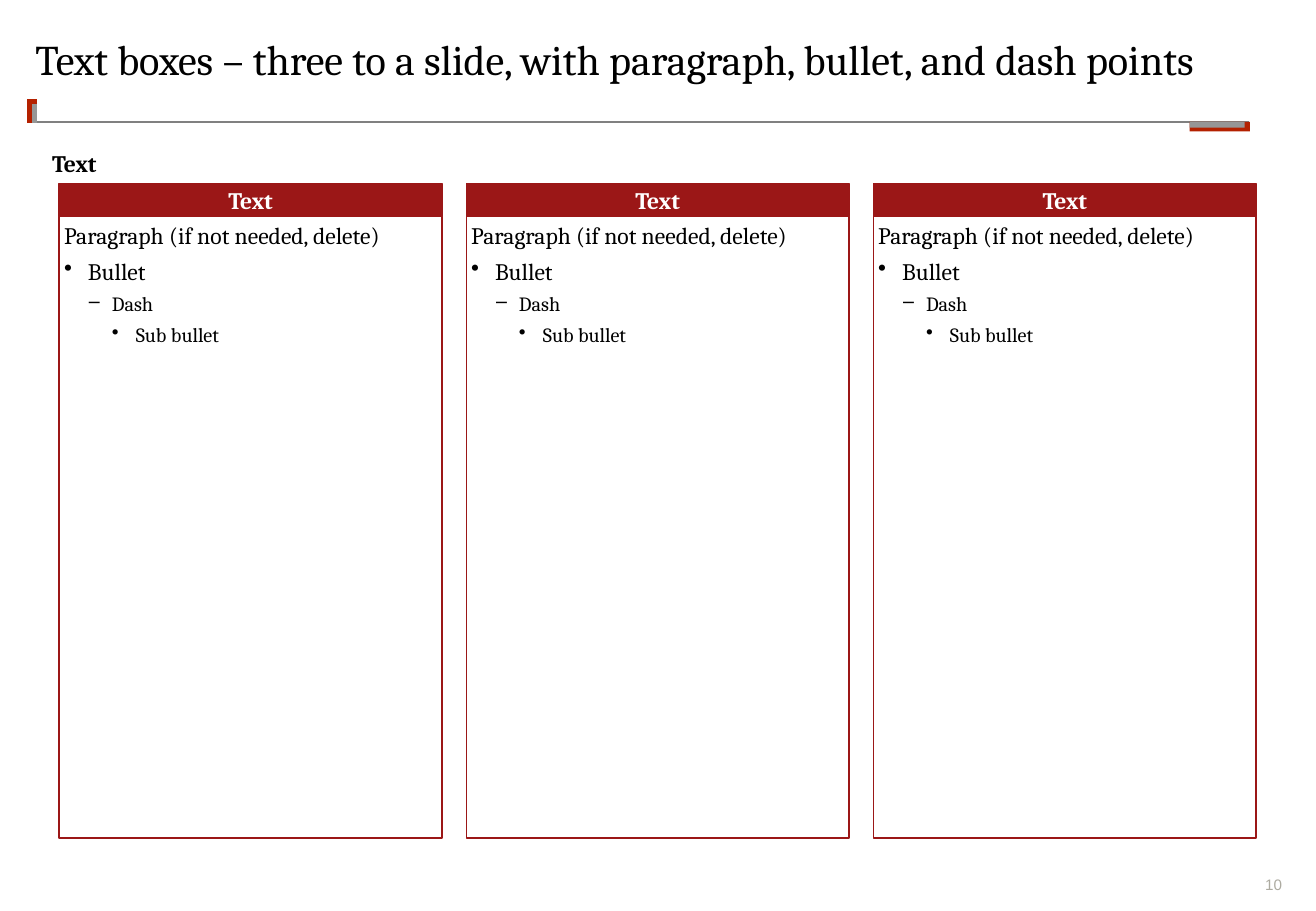
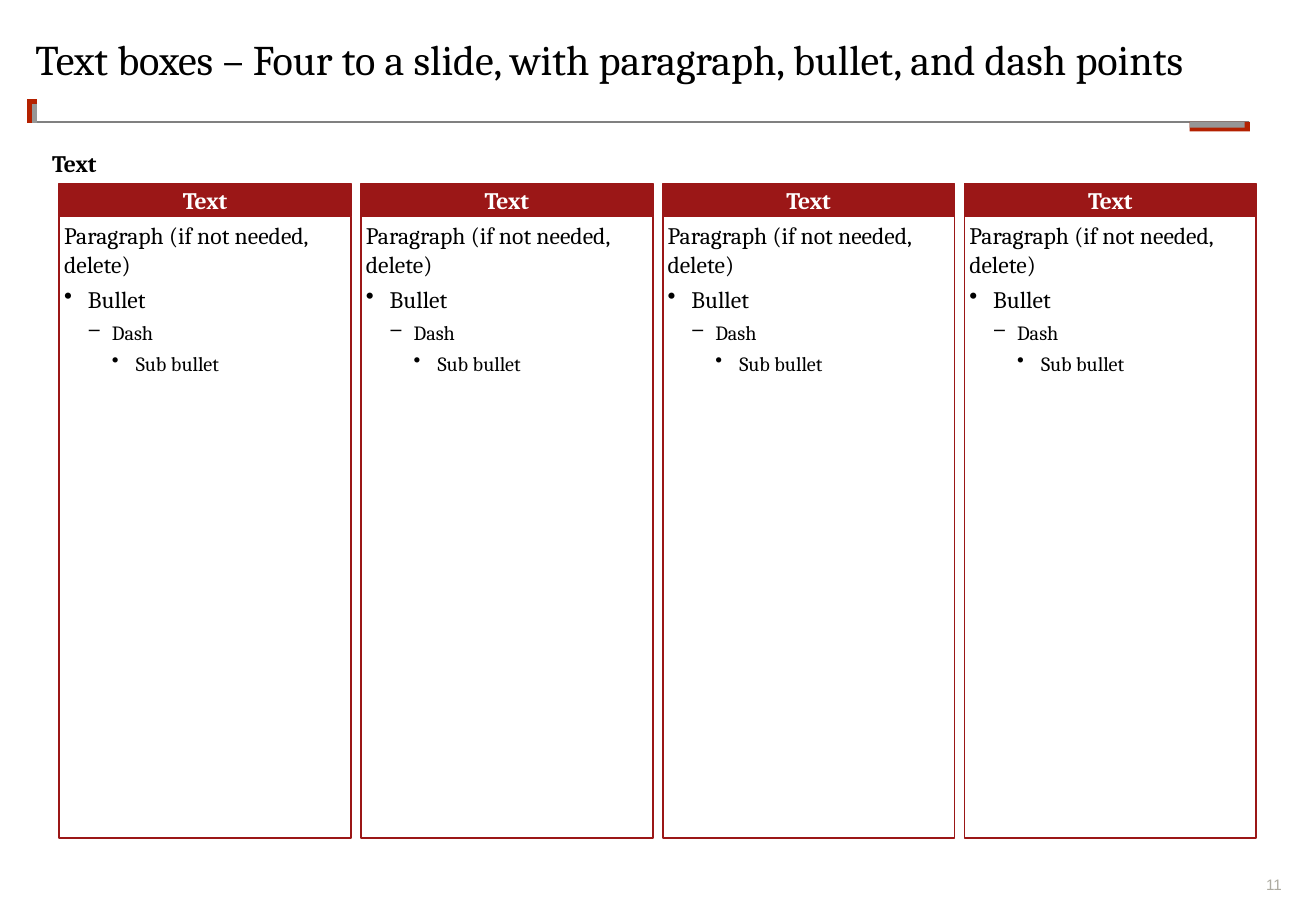
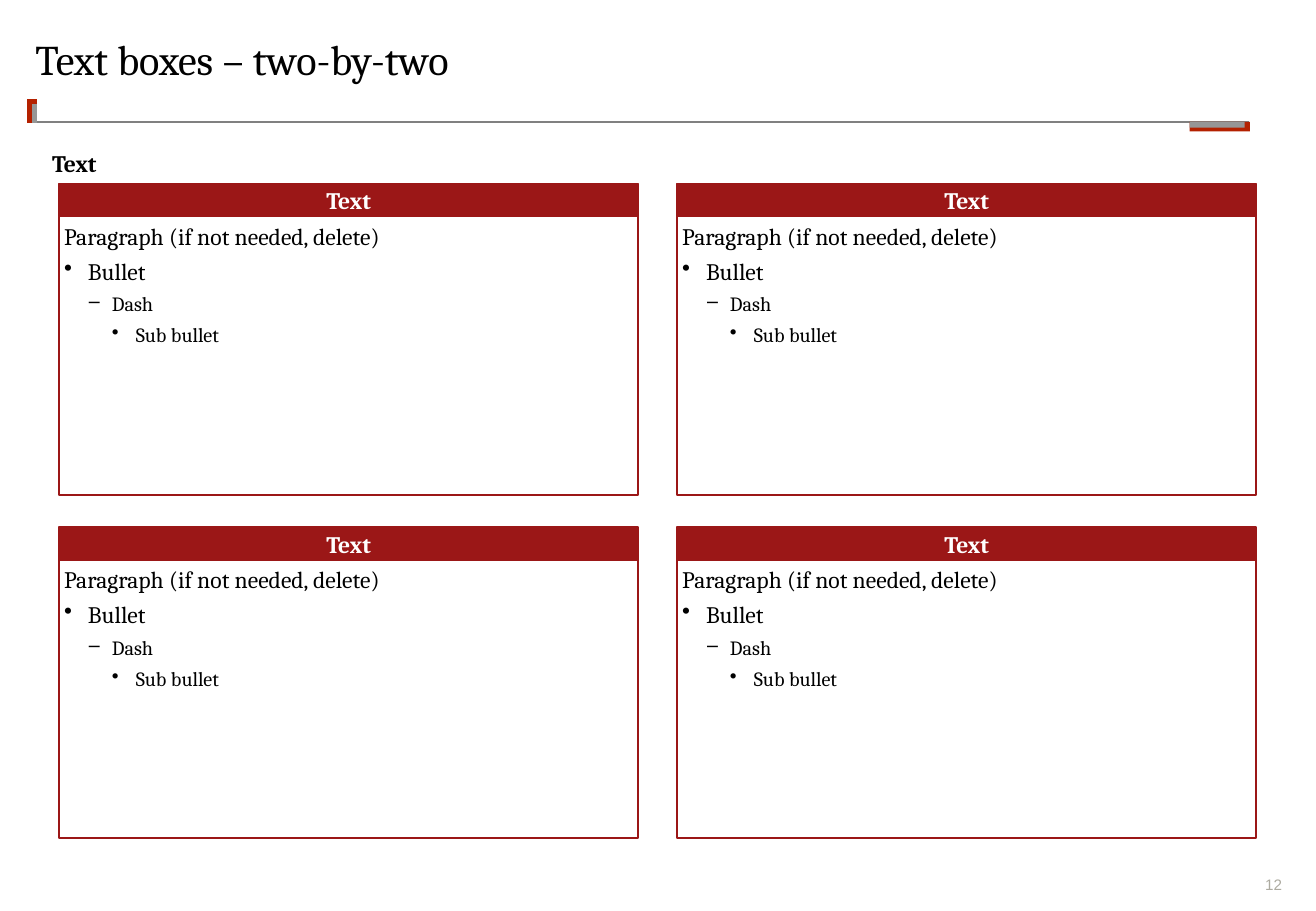
from lxml import etree
from pptx import Presentation
from pptx.dml.color import RGBColor
from pptx.enum import shapes, text
from pptx.oxml.ns import qn
from pptx.util import Cm, Pt

BLACK = RGBColor(0x00, 0x00, 0x00)
WHITE = RGBColor(0xFF, 0xFF, 0xFF)
CRIMSON = RGBColor(0x9B, 0x17, 0x17)
RUST = RGBColor(0xB4, 0x21, 0x00)
GREY = RGBColor(0x96, 0x96, 0x96)
RULE = RGBColor(0x80, 0x80, 0x80)
PALE = RGBColor(0xAD, 0xAB, 0xA1)

# Area shared by the panels, in centimetres
LEFT, TOP, RIGHT, BOTTOM = 1.24, 3.84, 26.26, 17.53
HEAD = 0.69
STEP = 0.5
PAD = 0.1

# Text, level, size, bullet
POINTS = [
    ("Paragraph (if not needed, delete)", 0, 14, None),
    ("Bullet", 1, 14, "•"),
    ("Dash", 2, 12, "‒"),
    ("Sub bullet", 3, 12, "•"),
]

# Title, columns, rows, column gap, row gap
SLIDES = [
    ("Text boxes – three to a slide, with paragraph, bullet, and dash points",
     3, 1, 0.51, 0),
    ("Text boxes – Four to a slide, with paragraph, bullet, and dash points",
     4, 1, 0.21, 0),
    ("Text boxes – two-by-two", 2, 2, 0.82, 0.68),
]
FIRST = 10


def write(para, words, size=14, color=BLACK, font="Cambria", bold=False,
          align=text.PP_ALIGN.LEFT, level=0, bullet=None, before=0):
    """Fill a paragraph with one formatted run."""
    if bullet:
        props = para._p.get_or_add_pPr()
        props.set("marL", str(Cm(STEP * level)))
        props.set("indent", str(-Cm(STEP)))
        etree.SubElement(props, qn("a:buChar")).set("char", bullet)
    para.level = level
    para.alignment = align
    para.space_before = Pt(before)
    run = para.add_run()
    run.text = words
    run.font.name = font
    run.font.size = Pt(size)
    run.font.bold = bold
    run.font.color.rgb = color


def inset(frame, pad=0, anchor=text.MSO_ANCHOR.TOP, wrap=True):
    """Set margins, anchor and wrapping; return the first paragraph."""
    frame.margin_left = frame.margin_right = Cm(pad)
    frame.margin_top = frame.margin_bottom = Cm(pad)
    frame.vertical_anchor = anchor
    frame.word_wrap = wrap
    frame.auto_size = text.MSO_AUTO_SIZE.NONE
    return frame.paragraphs[0]


def add_rect(slide, x, y, w, h, fill=None, line=None):
    rect = slide.shapes.add_shape(
        shapes.MSO_SHAPE.RECTANGLE, Cm(x), Cm(y), Cm(w), Cm(h))
    rect.shadow.inherit = False
    if fill is None:
        rect.fill.background()
    else:
        rect.fill.solid()
        rect.fill.fore_color.rgb = fill
    if line is None:
        rect.line.fill.background()
    else:
        rect.line.color.rgb = line
        rect.line.width = Pt(1)
    return rect


def add_line(slide, x1, y1, x2, y2, color, width):
    line = slide.shapes.add_connector(
        shapes.MSO_CONNECTOR.STRAIGHT, Cm(x1), Cm(y1), Cm(x2), Cm(y2))
    line.line.color.rgb = color
    line.line.width = Pt(width)
    etree.SubElement(line._element.spPr, qn("a:effectLst"))


def add_label(slide, x, y, w, h, words, wrap=True,
              anchor=text.MSO_ANCHOR.TOP, **style):
    box = slide.shapes.add_textbox(Cm(x), Cm(y), Cm(w), Cm(h))
    write(inset(box.text_frame, anchor=anchor, wrap=wrap), words, **style)


def add_base(deck, title, number):
    """Add a slide with the shared title, rule, accents and number."""
    slide = deck.slides.add_slide(deck.slide_layouts[5])
    add_label(slide, 26, 18.31, 0.8, 0.38, str(number), size=9, color=PALE,
              font="Arial", align=text.PP_ALIGN.RIGHT,
              anchor=text.MSO_ANCHOR.BOTTOM)
    add_line(slide, 0.76, 2.55, 26.11, 2.55, RULE, 1)
    add_line(slide, 0.66, 2.57, 0.66, 2.06, RUST, 6)
    add_line(slide, 0.72, 2.57, 0.72, 2.18, GREY, 3)
    add_rect(slide, 24.87, 2.55, 1.26, 0.2, fill=RUST)
    add_rect(slide, 24.87, 2.55, 1.15, 0.12, fill=GREY)

    head = slide.shapes.title
    head.left, head.top = Cm(0.74), Cm(0.81)
    head.width, head.height = Cm(26.04), Cm(1.7)
    para = inset(head.text_frame)
    write(para, title, size=25)
    para.line_spacing = 0.9
    return slide


def add_panel(slide, x, y, w, h):
    """Add a headed box holding the sample points."""
    band = add_rect(slide, x, y, w, HEAD, fill=CRIMSON, line=CRIMSON)
    write(inset(band.text_frame, PAD, text.MSO_ANCHOR.MIDDLE), "Text",
          color=WHITE, bold=True, align=text.PP_ALIGN.CENTER)
    body = add_rect(slide, x, y + HEAD, w, h - HEAD, line=CRIMSON)
    para = inset(body.text_frame, PAD)
    for i, (words, level, size, bullet) in enumerate(POINTS):
        if i:
            para = body.text_frame.add_paragraph()
        write(para, words, size=size, level=level, bullet=bullet,
              before=4 if i else 0)


def add_grid(slide, cols, rows, xgap, ygap):
    w = (RIGHT - LEFT - (cols - 1) * xgap) / cols
    h = (BOTTOM - TOP - (rows - 1) * ygap) / rows
    for row in range(rows):
        for col in range(cols):
            add_panel(slide, LEFT + col * (w + xgap),
                      TOP + row * (h + ygap), w, h)


def main():
    deck = Presentation()
    deck.slide_width, deck.slide_height = Cm(27.51), Cm(19.05)
    for number, (title, *grid) in enumerate(SLIDES, FIRST):
        slide = add_base(deck, title, number)
        add_label(slide, 1.09, 3.12, 1, 0.6, "Text", bold=True, wrap=False)
        add_grid(slide, *grid)
    deck.save("out.pptx")


if __name__ == "__main__":
    main()
